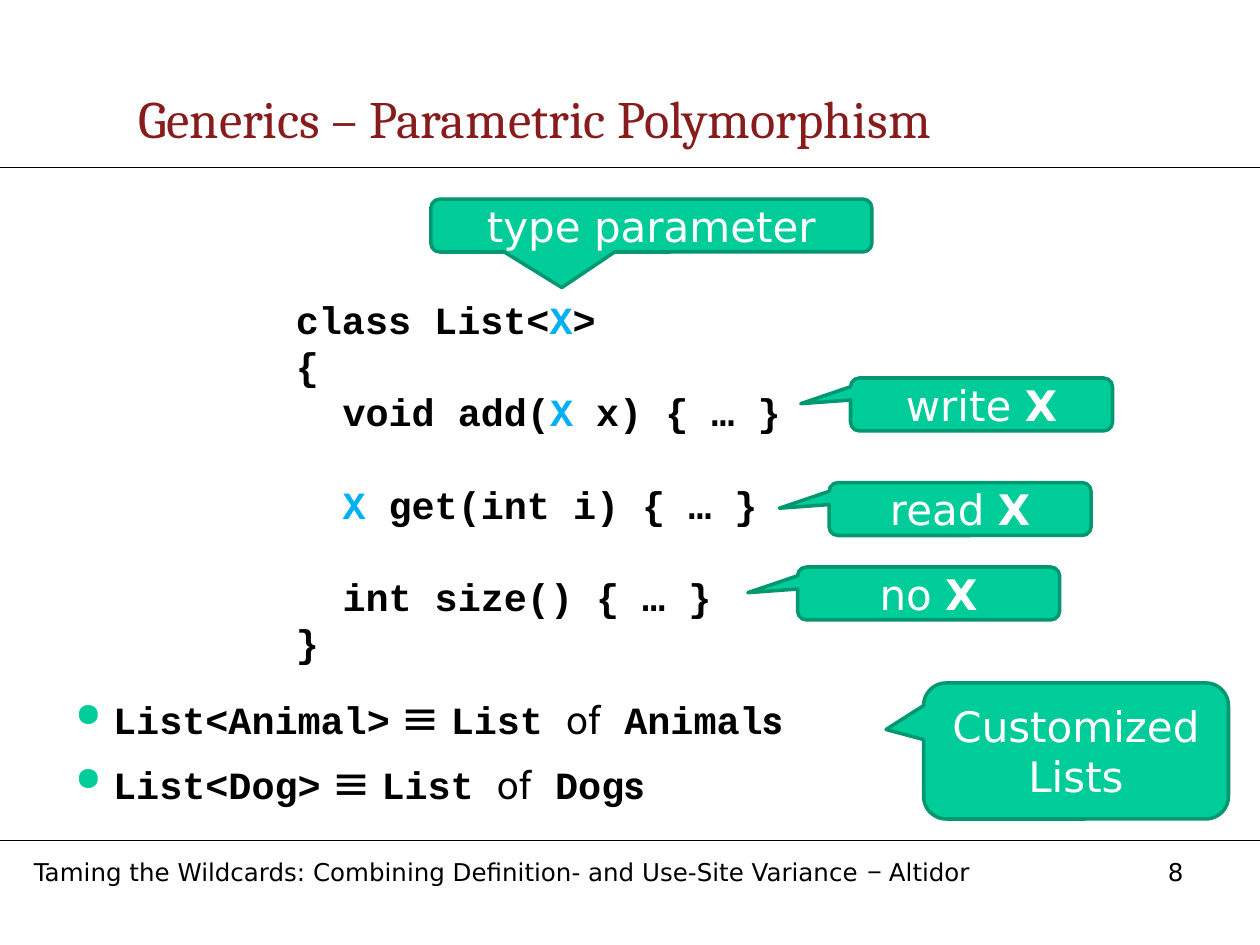
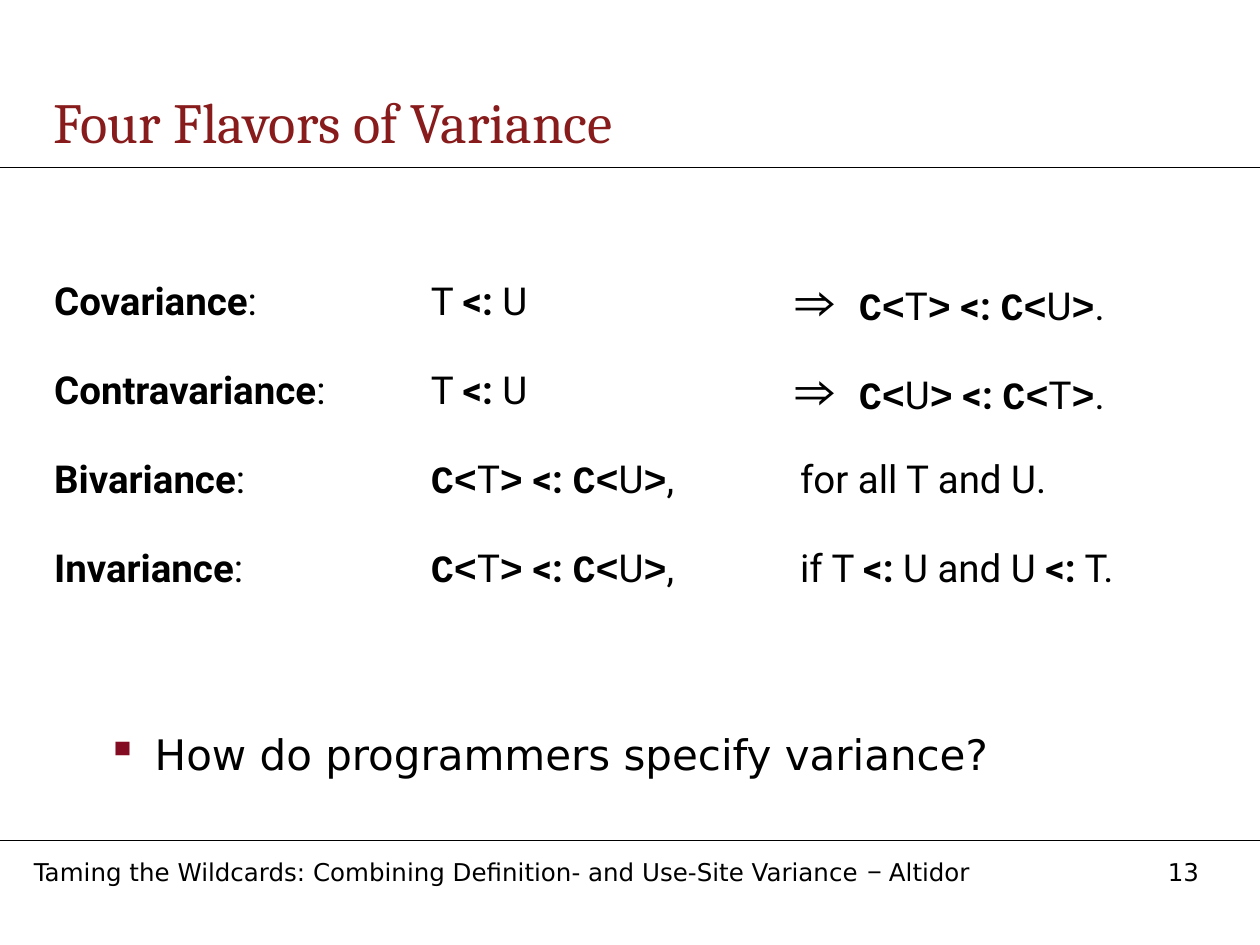
from lxml.etree import SubElement
from pptx import Presentation
from pptx.dml.color import RGBColor
from pptx.enum.shapes import MSO_CONNECTOR, MSO_SHAPE
from pptx.enum.text import MSO_ANCHOR, PP_ALIGN
from pptx.oxml.ns import qn
from pptx.util import Inches, Pt

BLACK, WHITE, MAROON, GREEN = "000000", "FFFFFF", "881C1C", "00CC99"
DARK_GREEN, CYAN, BULLET_RED = "009771", "00B0F0", "840C22"
SANS, ROBOTO, MONO = "DejaVu Sans", "Roboto", "Courier New"

# Run formats: name, size, bold, colour
STYLES = {
    "footer": dict(name=SANS, size=14),
    "footer dash": dict(name=ROBOTO, size=14),
    "question": dict(name=SANS, size=24),
    "label": dict(name=SANS, size=24, color=WHITE),
    "label bold": dict(name=SANS, size=24, color=WHITE, bold=True),
    "code": dict(name=MONO, size=22, bold=True),
    "param": dict(name=MONO, size=22, bold=True, color=CYAN),
    "plain": dict(name=ROBOTO, size=22),
    "bold": dict(name=ROBOTO, size=22, bold=True),
    "equiv": dict(name=ROBOTO, size=26),
    "arrow": dict(name=MONO, size=28, bold=True),
}

# Content shared by the slides
FOOTER = [("Taming the Wildcards: Combining Definition- and Use-Site Variance ", "footer"),
          ("– ", "footer dash"), ("Altidor", "footer")]
RULES_Y = (1.33, 6.67)

# Content of the generics slide: indent level, blank line above, runs
CODE_LINE = 26.4
CODE = [
    (0, False, [("class List<", "code"), ("X", "param"), (">", "code")]),
    (0, False, [("{", "code")]),
    (1, False, [("void add(", "code"), ("X ", "param"), ("x) { … }", "code")]),
    (1, True, [("X", "param"), (" get(int i) { … }", "code")]),
    (1, True, [("int size() { … }", "code")]),
    (0, False, [("}", "code")]),
]
SIDE_TIP = (-0.69, -0.015)
CALLOUTS = [  # place, tip, paragraphs
    ((3.42, 1.58, 3.5, 0.42), (-0.203, 1.172), [[("type parameter", "label")]]),
    ((6.75, 3, 2.08, 0.42), SIDE_TIP, [[("write ", "label"), ("X", "label bold")]]),
    ((6.58, 3.83, 2.08, 0.42), SIDE_TIP, [[("read ", "label"), ("X", "label bold")]]),
    ((6.33, 4.5, 2.08, 0.42), SIDE_TIP, [[("no ", "label"), ("X", "label bold")]]),
    ((7.33, 5.42, 2.42, 1.08), (-0.623, -0.158),
     [[("Customized", "label")], [("Lists", "label")]]),
]
ELEMENT_TYPES = ["Animal", "Dog"]

# Content of the variance slide


def subtype(left, right, end):
    """Runs for C<left> <: C<right> and a closing mark."""
    return [("C<", "code"), (left, "plain"), (">", "code"), (" <: ", "bold"),
            ("C<", "code"), (right, "plain"), (">", "code"), (end, "plain")]


T_BELOW_U = [("T ", "plain"), ("<:", "bold"), (" U", "plain")]
IMPLIES = [("⇒ ", "arrow")]
VARIANCES = [
    ("Covariance", T_BELOW_U, IMPLIES + subtype("T", "U", ".")),
    ("Contravariance", T_BELOW_U, IMPLIES + subtype("U", "T", ".")),
    ("Bivariance", subtype("T", "U", ","), [("for all T and U.", "plain")]),
    ("Invariance", subtype("T", "U", ","),
     [("if T ", "plain"), ("<:", "bold"), (" U and U ", "plain"),
      ("<:", "bold"), (" T.", "plain")]),
]
COLUMN_WIDTHS = (2.99, 2.93, 3.5)
QUESTION = "How do programmers specify variance?"


def rgb(value):
    return RGBColor.from_string(value)


def inches(*values):
    return [Inches(v) for v in values]


def add_run(p, text, name, size, bold=False, color=BLACK):
    r = p.add_run()
    r.text = text
    for key, value in dict(name=name, size=Pt(size), bold=bold).items():
        setattr(r.font, key, value)
    r.font.color.rgb = rgb(color)


def write(tf, paragraphs, **formats):
    """Fill a text frame with paragraphs of (text, style) runs."""
    tf.word_wrap = True
    for i, runs in enumerate(paragraphs):
        p = tf.add_paragraph() if i else tf.paragraphs[0]
        for key, value in formats.items():
            setattr(p, key, value)
        for text, style in runs:
            add_run(p, text, **STYLES[style])
    return tf


def add_text(s, place, paragraphs, **formats):
    return write(s.shapes.add_textbox(*inches(*place)).text_frame, paragraphs, **formats)


def set_indent(p, left, first=0):
    pPr = p._p.get_or_add_pPr()
    pPr.set("marL", str(Inches(left)))
    pPr.set("indent", str(Inches(first)))
    return pPr


def set_bullet(p, char, color, indent, percent=100):
    pPr = set_indent(p, indent, -indent)
    SubElement(SubElement(pPr, qn("a:buClr")), qn("a:srgbClr")).set("val", color)
    SubElement(pPr, qn("a:buSzPct")).set("val", str(percent * 1000))
    SubElement(pPr, qn("a:buChar")).set("char", char)


def add_rule(s, y):
    line = s.shapes.add_connector(MSO_CONNECTOR.STRAIGHT, *inches(0, y, 10, y))
    line.line.color.rgb = rgb(BLACK)
    line.line.width = Pt(1)
    SubElement(line._element.spPr, qn("a:effectLst"))


def add_callout(s, place, tip, paragraphs):
    sp = s.shapes.add_shape(MSO_SHAPE.ROUNDED_RECTANGULAR_CALLOUT, *inches(*place))
    for i, value in enumerate((*tip, 0.167)):
        sp.adjustments[i] = value
    sp.shadow.inherit = False
    sp.fill.solid()
    sp.fill.fore_color.rgb = rgb(GREEN)
    sp.line.color.rgb = rgb(DARK_GREEN)
    sp.line.width = Pt(2)
    tf = write(sp.text_frame, paragraphs, alignment=PP_ALIGN.CENTER)
    tf.vertical_anchor = MSO_ANCHOR.MIDDLE


def new_slide(prs, number, title, title_place, title_size):
    """Slide with the shared rules, footer, number and title style."""
    s = prs.slides.add_slide(prs.slide_layouts[6])
    for y in RULES_Y:
        add_rule(s, y)
    add_text(s, (9.17, 6.75, 0.67, 0.34), [[(str(number), "footer")]])
    add_text(s, (0.17, 6.75, 8.08, 0.33), [FOOTER])
    tf = add_text(s, title_place, [[]])
    tf.vertical_anchor = MSO_ANCHOR.MIDDLE
    add_run(tf.paragraphs[0], title, "Cambria", title_size, color=MAROON)
    return s


def generics_slide(prs):
    s = new_slide(prs, 8, "Generics – Parametric Polymorphism", (1, 0.5, 8.5, 0.87), 30)

    # Class listing
    tf = add_text(s, (2.25, 2.3, 5.92, 3.06), [runs for _, _, runs in CODE],
                  line_spacing=Pt(CODE_LINE))
    for p, (level, gap, _) in zip(tf.paragraphs, CODE):
        set_indent(p, 0.37 * level)
        if gap:
            p.space_before = Pt(CODE_LINE)

    # Instantiated types
    items = [[(f"List<{kind}>", "code"), (" ≡ ", "equiv"), ("List ", "code"),
              ("of", "plain"), (f" {kind}", "code"), ("s", "bold")]
             for kind in ELEMENT_TYPES]
    tf = add_text(s, (0.5, 5.42, 8.08, 1.25), items, space_before=Pt(5.8))
    for p in tf.paragraphs:
        set_bullet(p, "●", GREEN, 0.3, 85)

    for callout in CALLOUTS:
        add_callout(s, *callout)


def variance_slide(prs):
    s = new_slide(prs, 13, "Four Flavors of Variance", (0.33, 0.67, 9.67, 0.58), 32.4)

    # Closing question
    tf = add_text(s, (0.75, 5.73, 8.33, 1), [[(QUESTION, "question")]])
    set_bullet(tf.paragraphs[0], "▪", BULLET_RED, 0.38)

    # Table of definitions
    table = s.shapes.add_table(len(VARIANCES), len(COLUMN_WIDTHS),
                               *inches(0.33, 2.17, sum(COLUMN_WIDTHS), 2.83)).table
    table.first_row = table.horz_banding = False
    for column, width in zip(table.columns, COLUMN_WIDTHS):
        column.width = Inches(width)
    for i, (name, premise, conclusion) in enumerate(VARIANCES):
        heading = [(name, "bold"), (":", "plain")]
        for j, runs in enumerate((heading, premise, conclusion)):
            cell = table.cell(i, j)
            write(cell.text_frame, [runs])
            cell_props = cell._tc.get_or_add_tcPr()
            for side in ("a:lnL", "a:lnR", "a:lnT", "a:lnB"):
                SubElement(SubElement(cell_props, qn(side)), qn("a:noFill"))
            cell.fill.background()


def main():
    prs = Presentation()
    prs.slide_width, prs.slide_height = inches(10, 7.5)
    generics_slide(prs)
    variance_slide(prs)
    prs.save("out.pptx")


if __name__ == "__main__":
    main()
